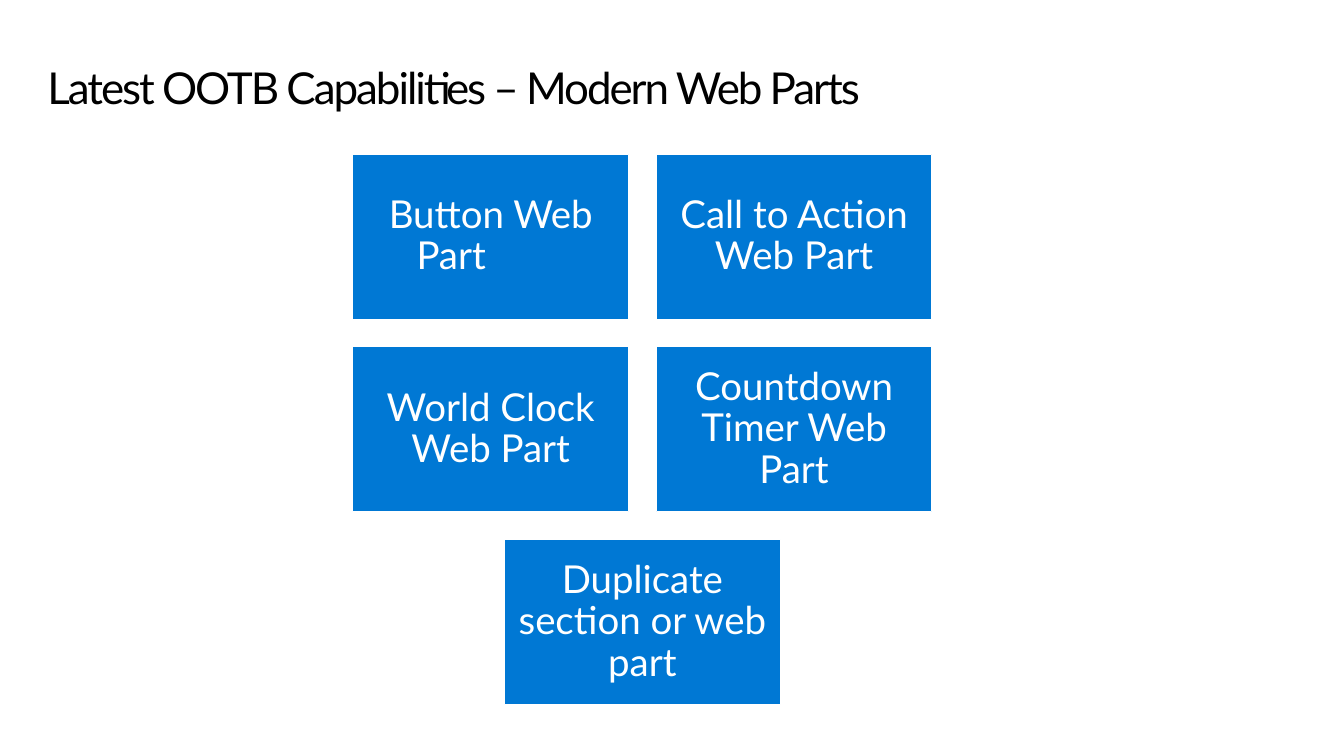
from dataclasses import dataclass

from pptx import Presentation
from pptx.dml.color import RGBColor
from pptx.enum.shapes import MSO_SHAPE
from pptx.enum.text import MSO_ANCHOR, PP_ALIGN
from pptx.util import Inches, Pt

RECTANGLE = MSO_SHAPE.RECTANGLE
TOP, MIDDLE = MSO_ANCHOR.TOP, MSO_ANCHOR.MIDDLE
LEFT, CENTER = PP_ALIGN.LEFT, PP_ALIGN.CENTER


@dataclass(frozen=True)
class Theme:
    font: str = "Lato"
    title_color: RGBColor = RGBColor(0, 0, 0)
    tile_color: RGBColor = RGBColor(0x00, 0x78, 0xD4)
    light: RGBColor = RGBColor(0xFF, 0xFF, 0xFF)
    title_size: int = 32
    tile_size: int = 28
    tile_border: float = 0.85
    line_spacing: float = 0.9


THEME = Theme()
SLIDE_WIDTH, SLIDE_HEIGHT = 13.6, 7.65

# Tile grid, in inches
GRID_LEFT, GRID_TOP = 3.57, 1.56
TILE_WIDTH, TILE_HEIGHT, GAP = 2.79, 1.67, 0.28
TILE_INSET = 0.12

# Column, row and label; column 0.5 centres a tile under both columns
WEB_PARTS = [
    (0, 0, "Button Web Part\t\t"),
    (1, 0, "Call to Action Web Part"),
    (0, 1, "World Clock Web Part"),
    (1, 1, "Countdown Timer Web Part"),
    (0.5, 2, "Duplicate section or web part"),
]


def write_text(shape, text, *, size, color, align=LEFT, anchor=TOP,
               insets=(0, 0, 0, 0), tracking=None):
    """Fill a shape with one formatted paragraph; insets run left, top, right, bottom."""
    frame = shape.text_frame
    frame.word_wrap = True
    frame.vertical_anchor = anchor
    (frame.margin_left, frame.margin_top,
     frame.margin_right, frame.margin_bottom) = map(Inches, insets)
    paragraph = frame.paragraphs[0]
    paragraph.alignment = align
    paragraph.line_spacing = THEME.line_spacing
    run = paragraph.add_run()
    run.text = text
    run.font.name = THEME.font
    run.font.size = Pt(size)
    run.font.color.rgb = color
    if tracking is not None:
        run.font._element.set("spc", str(round(tracking * 100)))


def add_title(slide, text):
    box = slide.shapes.add_textbox(
        Inches(0.48), Inches(0.49), Inches(SLIDE_WIDTH * 0.93), Inches(0.82))
    write_text(box, text, size=THEME.title_size, color=THEME.title_color,
               insets=(0, 0.18, 0, 0), tracking=-1.5)


def add_tile(slide, column, row, label):
    tile = slide.shapes.add_shape(
        RECTANGLE,
        Inches(GRID_LEFT + column * (TILE_WIDTH + GAP)),
        Inches(GRID_TOP + row * (TILE_HEIGHT + GAP)),
        Inches(TILE_WIDTH), Inches(TILE_HEIGHT))
    tile.shadow.inherit = False
    tile.fill.solid()
    tile.fill.fore_color.rgb = THEME.tile_color
    tile.line.color.rgb = THEME.light
    tile.line.width = Pt(THEME.tile_border)
    write_text(tile, label, size=THEME.tile_size, color=THEME.light,
               align=CENTER, anchor=MIDDLE, insets=(TILE_INSET,) * 4)


def main():
    presentation = Presentation()
    presentation.slide_width = Inches(SLIDE_WIDTH)
    presentation.slide_height = Inches(SLIDE_HEIGHT)
    slide = presentation.slides.add_slide(presentation.slide_layouts[6])

    # Heading
    add_title(slide, "Latest OOTB Capabilities – Modern Web Parts")

    # Web part tiles
    for column, row, label in WEB_PARTS:
        add_tile(slide, column, row, label)

    presentation.save("out.pptx")


if __name__ == "__main__":
    main()
